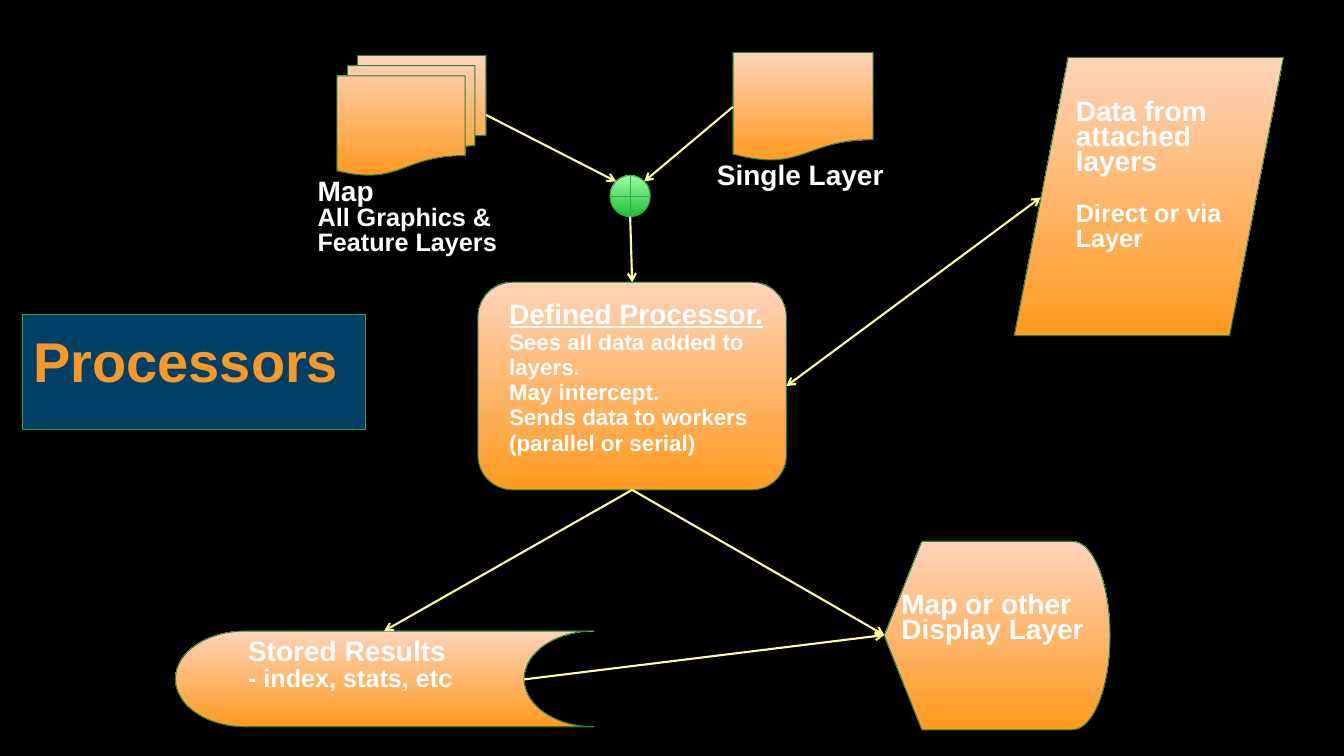
from dataclasses import dataclass

import lxml.etree
import pptx
import pptx.dml.color
import pptx.enum.shapes
import pptx.oxml.ns
import pptx.shapes.base
import pptx.slide
import pptx.util

Kind = pptx.enum.shapes.MSO_SHAPE
PX = 9144
FONT = "Arial"
COLORS = {
    "background": "000000",
    "panel": "007AC2",
    "panel_line": "31AB42",
    "orange": "FF9A20",
    "peach": "FFD3BA",
    "node_line": "288135",
    "green": "23BE39",
    "mint": "9CFDA3",
    "arrow": "FFFF96",
    "text": "FFFFFF",
    "title": "F89927",
}


@dataclass(frozen=True)
class Node:
    kind: Kind
    left: int
    top: int
    width: int
    height: int
    bottom_color: str = "orange"
    top_color: str = "peach"
    line: str = "node_line"


@dataclass(frozen=True)
class Arrow:
    start: tuple[int, int]
    end: tuple[int, int]
    two_way: bool = False


@dataclass(frozen=True)
class Line:
    text: str
    size: int
    underline: bool = False
    space_before: int = 0


@dataclass(frozen=True)
class Label:
    left: int
    top: int
    width: int
    height: int
    lines: tuple[Line, ...]
    color: str = "text"


PROCESSOR_BOTTOM = (627, 486)
DISPLAY_LEFT = (877, 630)

NODES = (
    Node(Kind.FLOWCHART_DATA, 1006, 57, 267, 276),
    Node(Kind.FLOWCHART_ALTERNATE_PROCESS, 474, 280, 306, 206),
    Node(Kind.FLOWCHART_DISPLAY, 877, 537, 224, 187),
    Node(Kind.FLOWCHART_STORED_DATA, 174, 626, 415, 95),
    Node(Kind.FLOWCHART_MULTIDOCUMENT, 334, 55, 148, 119),
    Node(Kind.FLOWCHART_DOCUMENT, 727, 52, 139, 108),
    Node(Kind.FLOWCHART_OR, 605, 174, 40, 41, "green", "mint", "panel_line"),
)

ARROWS = (
    Arrow((482, 114), (611, 180)),
    Arrow((727, 106), (639, 180)),
    Arrow((625, 215), (627, 280)),
    Arrow((1032, 196), (780, 383), two_way=True),
    Arrow(PROCESSOR_BOTTOM, (381, 626)),
    Arrow(PROCESSOR_BOTTOM, DISPLAY_LEFT),
    Arrow((520, 674), DISPLAY_LEFT),
)

LABELS = (
    Label(315, 180, 228, 64, (
        Line("Map", 20),
        Line("All Graphics & Feature Layers", 18),
    )),
    Label(711, 165, 228, 64, (Line("Single Layer", 20),)),
    Label(1067, 101, 175, 79, (
        Line("Data from", 20),
        Line("attached layers", 20),
        Line("Direct or via Layer", 18, space_before=18),
    )),
    Label(505, 302, 253, 185, (
        Line("Defined Processor.", 20, underline=True),
        Line("Sees all data added to layers.", 16),
        Line("May intercept.", 16),
        Line("Sends data to workers (parallel or serial)", 16),
    )),
    Label(894, 590, 201, 97, (Line("Map or other Display Layer", 20),)),
    Label(246, 637, 219, 79, (
        Line("Stored Results", 20),
        Line("- index, stats, etc", 18),
    )),
    Label(33, 366, 391, 59, (Line("Processors", 40),), "title"),
)


def px(length: int) -> int:
    return pptx.util.Emu(length * PX)


def rgb(name: str) -> pptx.dml.color.RGBColor:
    return pptx.dml.color.RGBColor.from_string(COLORS[name])


def draw_outline(
    page: pptx.slide.Slide, kind: Kind, left: int, top: int, width: int, height: int, line: str
) -> pptx.shapes.base.BaseShape:
    shape = page.shapes.add_shape(kind, px(left), px(top), px(width), px(height))
    shape.shadow.inherit = False
    shape.line.color.rgb = rgb(line)
    shape.line.width = pptx.util.Pt(0.75)
    return shape


def draw_panel(page: pptx.slide.Slide) -> None:
    panel = draw_outline(page, Kind.RECTANGLE, 22, 312, 341, 114, "panel_line")
    panel.fill.solid()
    panel.fill.fore_color.rgb = rgb("panel")
    color = panel.fill._xPr.find(pptx.oxml.ns.qn("a:solidFill"))[0]
    lxml.etree.SubElement(color, pptx.oxml.ns.qn("a:alpha"), val="53000")


def draw_node(page: pptx.slide.Slide, node: Node) -> None:
    shape = draw_outline(
        page, node.kind, node.left, node.top, node.width, node.height, node.line
    )
    shape.fill.gradient()
    shape.fill.gradient_angle = 90
    for position, name in enumerate((node.bottom_color, node.top_color)):
        stop = shape.fill.gradient_stops[position]
        stop.position = position
        stop.color.rgb = rgb(name)


def draw_arrow(page: pptx.slide.Slide, arrow: Arrow) -> None:
    connector = page.shapes.add_connector(
        pptx.enum.shapes.MSO_CONNECTOR.STRAIGHT,
        *(px(value) for value in arrow.start + arrow.end),
    )
    connector.line.color.rgb = rgb("arrow")
    connector.line.width = pptx.util.Pt(1.5)
    properties = connector._element.spPr
    outline = properties.find(pptx.oxml.ns.qn("a:ln"))
    for end in ("a:headEnd", "a:tailEnd") if arrow.two_way else ("a:tailEnd",):
        lxml.etree.SubElement(outline, pptx.oxml.ns.qn(end), type="arrow")
    lxml.etree.SubElement(properties, pptx.oxml.ns.qn("a:effectLst"))


def draw_label(page: pptx.slide.Slide, label: Label) -> None:
    box = page.shapes.add_textbox(
        px(label.left), px(label.top), px(label.width), px(label.height)
    )
    frame = box.text_frame
    frame.word_wrap = True
    frame.margin_left = frame.margin_right = frame.margin_top = frame.margin_bottom = 0
    for index, line in enumerate(label.lines):
        para = frame.add_paragraph() if index else frame.paragraphs[0]
        para.line_spacing = pptx.util.Pt(18)
        if line.space_before:
            para.space_before = pptx.util.Pt(line.space_before)
        span = para.add_run()
        span.text = line.text
        span.font.name = FONT
        span.font.size = pptx.util.Pt(line.size)
        span.font.bold = True
        span.font.underline = line.underline
        span.font.color.rgb = rgb(label.color)


def main() -> None:
    deck = pptx.Presentation()
    deck.slide_width, deck.slide_height = px(1333), px(750)
    page = deck.slides.add_slide(deck.slide_layouts[6])
    page.background.fill.solid()
    page.background.fill.fore_color.rgb = rgb("background")
    draw_panel(page)
    for node in NODES:
        draw_node(page, node)
    for arrow in ARROWS:
        draw_arrow(page, arrow)
    for label in LABELS:
        draw_label(page, label)
    deck.save("out.pptx")


if __name__ == "__main__":
    main()
